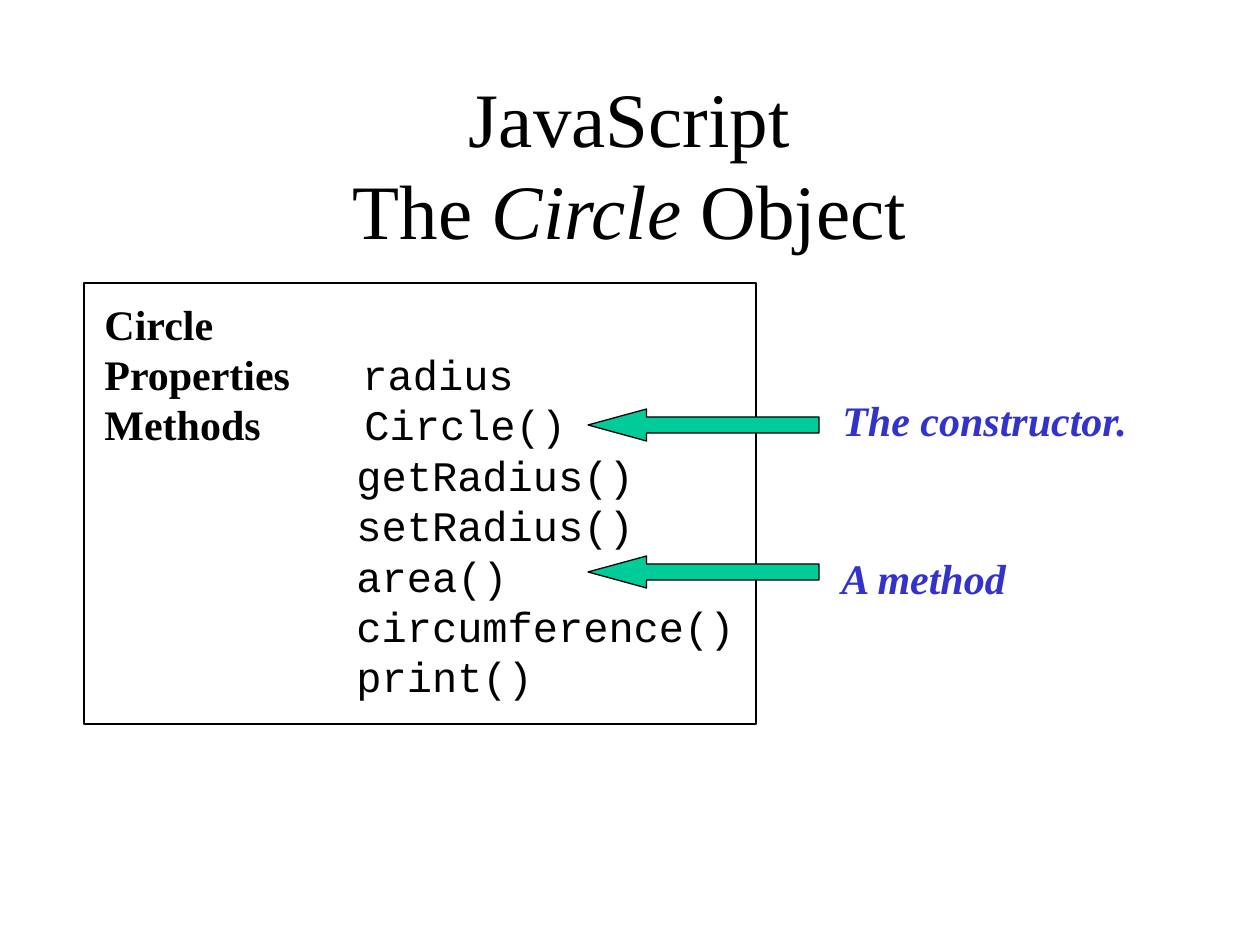
from dataclasses import dataclass

from lxml.etree import SubElement
from pptx import Presentation
from pptx.dml.color import RGBColor
from pptx.enum.shapes import MSO_SHAPE
from pptx.enum.text import MSO_ANCHOR, MSO_AUTO_SIZE, PP_ALIGN
from pptx.oxml.ns import qn
from pptx.util import Pt

EMU_PER_PX = 914400 / 126
SERIF, MONO = "Times New Roman", "Courier New"
BLACK, BLUE, GREEN = "000000", "3333CC", "00CC99"
METHOD_INDENT = 252


@dataclass
class Entry:
    label: str
    member: str
    tab: int


@dataclass
class Callout:
    text: str
    arrow_y: int
    x: int
    y: int
    w: int


ENTRIES = [Entry("Properties", "radius", 258), Entry("Methods", "Circle()", 260)]
METHODS = ["getRadius()", "setRadius()", "area()", "circumference()", "print()"]
CALLOUTS = [
    Callout("The constructor.", 409, 830, 388, 313),
    Callout("A method", 556, 829, 546, 192),
]


def px(n: int) -> int:
    return round(n * EMU_PER_PX)


def rgb(value: str) -> RGBColor:
    return RGBColor.from_string(value)


def set_font(font, name: str, size: int = 24, color: str = BLACK,
             bold: bool = False, italic: bool = False) -> None:
    font.name, font.size = name, Pt(size)
    font.bold, font.italic = bold, italic
    font.color.rgb = rgb(color)


def add_outlined(s, kind: MSO_SHAPE, x: int, y: int, w: int, h: int):
    sp = s.shapes.add_shape(kind, px(x), px(y), px(w), px(h))
    sp.shadow.inherit = False
    sp.fill.background()
    sp.line.color.rgb = rgb(BLACK)
    sp.line.width = Pt(0.75)
    return sp


def add_text(s, x: int, y: int, w: int, h: int):
    tf = s.shapes.add_textbox(px(x), px(y), px(w), px(h)).text_frame
    tf.word_wrap = True
    return tf


def add_title(s) -> None:
    sp = s.shapes.title
    sp.left, sp.top, sp.width, sp.height = px(94), px(84), px(1071), px(158)
    tf = sp.text_frame
    tf.auto_size = MSO_AUTO_SIZE.NONE
    tf.vertical_anchor = MSO_ANCHOR.MIDDLE
    p = tf.paragraphs[0]
    p.alignment = PP_ALIGN.CENTER
    for i, text in enumerate(["JavaScript", "The ", "Circle", " Object"]):
        r = p.add_run()
        r.text = text
        set_font(r.font, SERIF, 44, italic=text == "Circle")
        if i == 0:
            p.add_line_break()


def add_entry(p, entry: Entry) -> None:
    tabs = SubElement(p._p.get_or_add_pPr(), qn("a:tabLst"))
    SubElement(tabs, qn("a:tab"), pos=str(px(entry.tab)), algn="l")
    for text, name, bold in [(entry.label + "\t", SERIF, True), (entry.member, MONO, False)]:
        r = p.add_run()
        r.text = text
        set_font(r.font, name, bold=bold)


def add_class_box(s) -> None:
    tf = add_text(s, 92, 292, 672, 416)
    p = tf.paragraphs[0]
    p.text = "Circle"
    set_font(p.font, SERIF, bold=True)
    for entry in ENTRIES:
        add_entry(tf.add_paragraph(), entry)
    for method in METHODS:
        p = tf.add_paragraph()
        p.text = method
        pPr = p._p.get_or_add_pPr()
        pPr.set("marL", str(px(METHOD_INDENT)))
        pPr.set("indent", "0")
        set_font(p.font, MONO)
    add_outlined(s, MSO_SHAPE.RECTANGLE, 84, 283, 672, 441)


def add_callout(s, c: Callout) -> None:
    sp = add_outlined(s, MSO_SHAPE.LEFT_ARROW, 588, c.arrow_y, 231, 32)
    sp.fill.solid()
    sp.fill.fore_color.rgb = rgb(GREEN)
    sp.adjustments[0], sp.adjustments[1] = 0.5, 1.83
    p = add_text(s, c.x, c.y, c.w, 63).paragraphs[0]
    p.text = c.text
    set_font(p.font, SERIF, color=BLUE, bold=True, italic=True)


def main() -> None:
    prs = Presentation()
    prs.slide_width, prs.slide_height = px(1260), px(945)
    s = prs.slides.add_slide(prs.slide_layouts[5])
    add_title(s)
    add_class_box(s)
    for callout in CALLOUTS:
        add_callout(s, callout)
    prs.save("out.pptx")


if __name__ == "__main__":
    main()
